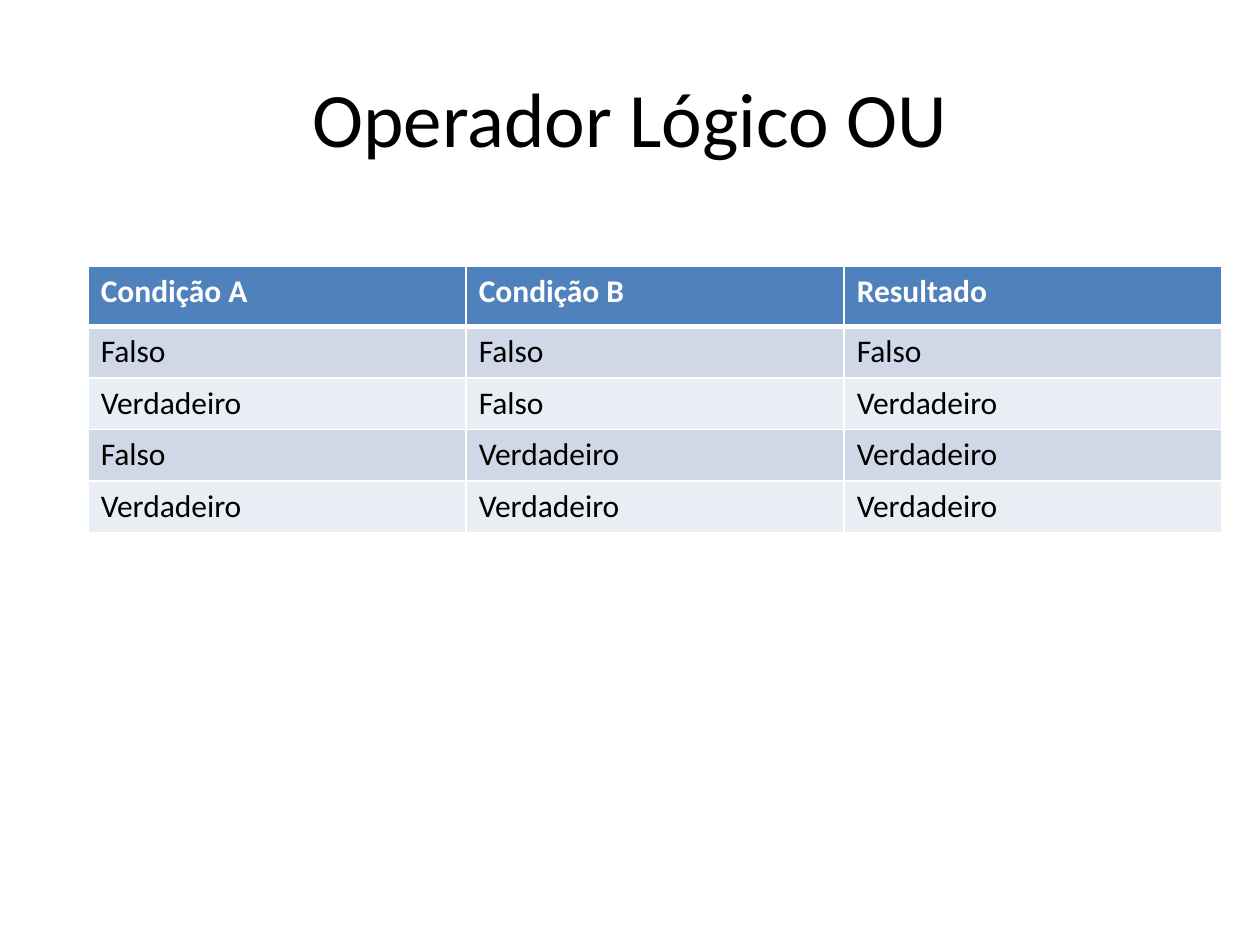
from lxml import etree
from pptx import Presentation
from pptx.dml.color import RGBColor
from pptx.enum.text import MSO_ANCHOR, PP_ALIGN
from pptx.oxml.ns import qn
from pptx.util import Inches, Pt

MIDDLE = MSO_ANCHOR.MIDDLE
CENTER = PP_ALIGN.CENTER
FONT = "Calibri"
COLORS = {"header": "4F81BD", "odd": "D0D8E8", "even": "E9EDF4",
          "white": "FFFFFF", "black": "000000"}


def style_text(tf, size, color, bold=False):
    for p in tf.paragraphs:
        for r in p.runs:
            r.font.name = FONT
            r.font.size = Pt(size)
            r.font.bold = bold
            r.font.color.rgb = RGBColor.from_string(COLORS[color])


def add_border(cell, side, width):
    ln = etree.SubElement(cell._tc.get_or_add_tcPr(), qn("a:ln" + side), w=str(Pt(width)))
    fill = etree.SubElement(ln, qn("a:solidFill"))
    etree.SubElement(fill, qn("a:srgbClr"), val=COLORS["white"])


prs = Presentation()
prs.slide_width = Inches(10)
prs.slide_height = Inches(7.5)
s = prs.slides.add_slide(prs.slide_layouts[5])

title = s.shapes.title
title.left, title.top = Inches(0.5), Inches(0.3)
title.width, title.height = Inches(9), Inches(1.25)
tf = title.text_frame
tf.text = "Operador Lógico OU"
tf.vertical_anchor = MIDDLE
tf.paragraphs[0].alignment = CENTER
style_text(tf, 44, "black")

rows = [["Condição A", "Condição B", "Resultado"]]
for b in (False, True):
    for a in (False, True):
        rows.append(["Verdadeiro" if v else "Falso" for v in (a, b, a or b)])

HEADER_H, ROW_H = 0.48, 0.41
table_h = HEADER_H + ROW_H * (len(rows) - 1)
table = s.shapes.add_table(len(rows), 3, Inches(0.7), Inches(2.11),
                           Inches(9), Inches(table_h)).table

for i, values in enumerate(rows):
    header = i == 0
    table.rows[i].height = Inches(HEADER_H if header else ROW_H)
    fill = "header" if header else "odd" if i % 2 else "even"
    for j, value in enumerate(values):
        cell = table.cell(i, j)
        cell.text_frame.text = value
        style_text(cell.text_frame, 18, "white" if header else "black", header)
        for side in "LRTB":
            thick = (header and side == "B") or (i == 1 and side == "T")
            add_border(cell, side, 3 if thick else 1)
        cell.fill.solid()
        cell.fill.fore_color.rgb = RGBColor.from_string(COLORS[fill])

prs.save("out.pptx")
